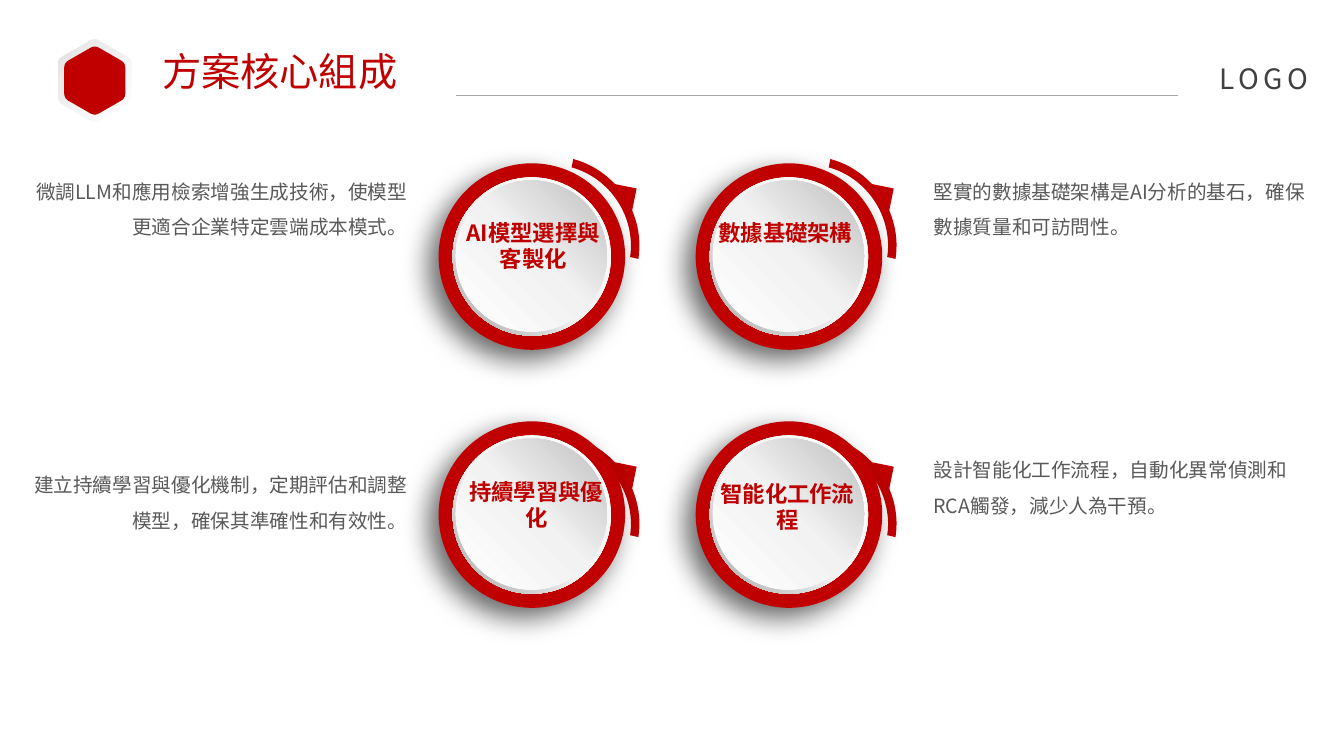
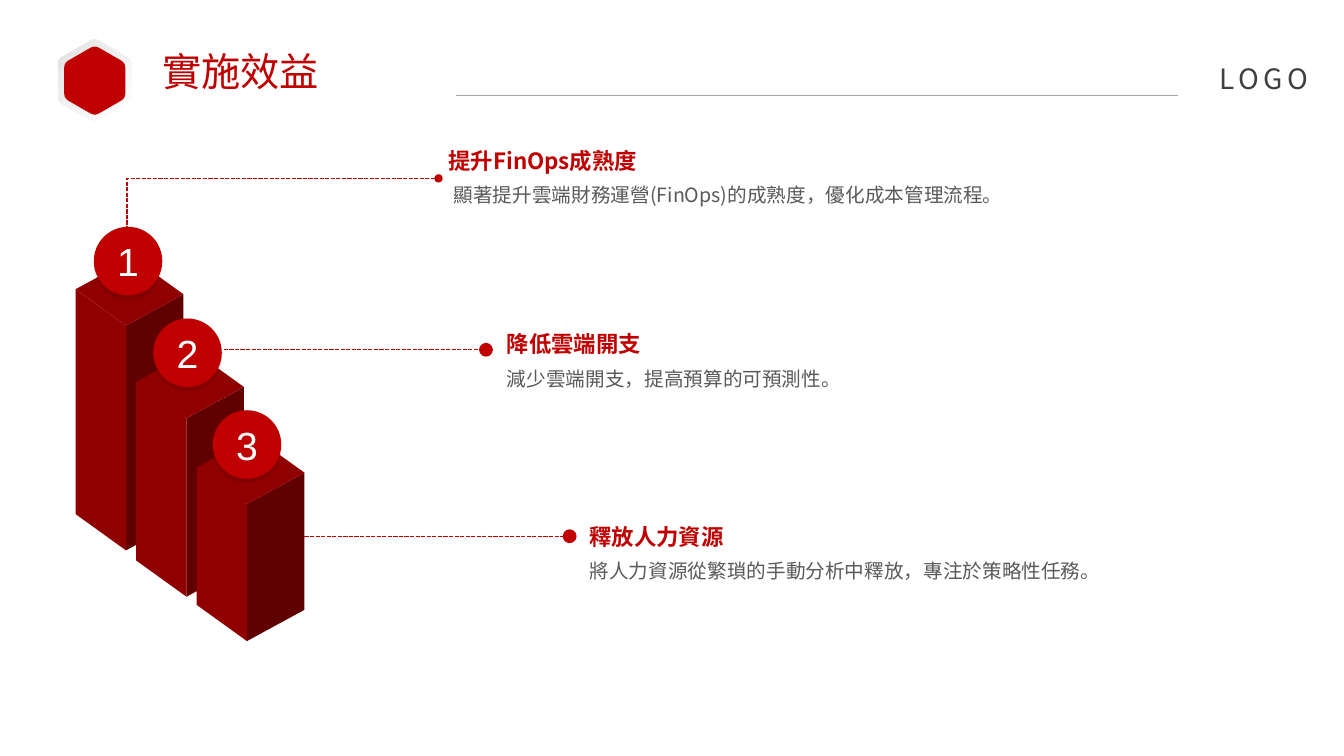
import math
from dataclasses import dataclass

from lxml import etree
from pptx import Presentation
from pptx.dml.color import RGBColor
from pptx.enum.dml import MSO_LINE
from pptx.enum.shapes import MSO_CONNECTOR, MSO_SHAPE
from pptx.enum.text import MSO_ANCHOR, MSO_AUTO_SIZE, PP_ALIGN
from pptx.oxml import parse_xml
from pptx.oxml.ns import nsdecls, qn
from pptx.util import Inches, Pt

LEFT, CENTER, RIGHT = PP_ALIGN.LEFT, PP_ALIGN.CENTER, PP_ALIGN.RIGHT
TOP, MIDDLE = MSO_ANCHOR.TOP, MSO_ANCHOR.MIDDLE
FIT_SHAPE = MSO_AUTO_SIZE.SHAPE_TO_FIT_TEXT
DASH = MSO_LINE.SQUARE_DOT
STRAIGHT, ELBOW = MSO_CONNECTOR.STRAIGHT, MSO_CONNECTOR.ELBOW
OVAL, DONUT = MSO_SHAPE.OVAL, MSO_SHAPE.DONUT
BLOCK_ARC, RIGHT_TRIANGLE = MSO_SHAPE.BLOCK_ARC, MSO_SHAPE.RIGHT_TRIANGLE


@dataclass(frozen=True)
class Theme:
    red: str = "C00000"
    red_mid: str = "900000"
    red_dark: str = "600000"
    rule: str = "A6A6A6"
    logo: str = "404040"
    body: str = "595959"
    badge_text: str = "FEFFFF"
    hexagon_fill: tuple = ((0, "FFFFFF"), (73, "ECECEC"), (100, "D9D9D9"))
    rim_fill: tuple = ((0, "FFFFFF"), (55, "F2F2F2"), (100, "A6A6A6"))
    disc_fill: tuple = ((0, "FFFFFF"), (51, "F2F2F2"), (100, "BFBFBF"))
    font: str = "Noto Sans CJK SC"
    digit_font: str = "Arial"
    title_size: int = 28
    logo_size: int = 20
    heading_size: int = 16
    body_size: int = 14


T = Theme()

COMPONENTS = [
    dict(col=0, row=0, label="AI模型選擇與客製化", label_at=(4.52, 2.12), body_y=1.62,
         body="微調LLM和應用檢索增強生成技術，使模型更適合企業特定雲端成本模式。"),
    dict(col=1, row=0, label="數據基礎架構", label_at=(7.02, 2.12), body_y=1.62,
         body="堅實的數據基礎架構是AI分析的基石，確保數據質量和可訪問性。"),
    dict(col=0, row=1, label="持續學習與優化", label_at=(4.55, 4.69), body_y=4.53,
         body="建立持續學習與優化機制，定期評估和調整模型，確保其準確性和有效性。"),
    dict(col=1, row=1, label="智能化工作流程", label_at=(7.04, 4.71), body_y=4.38,
         body="設計智能化工作流程，自動化異常偵測和RCA觸發，減少人為干預。"),
]

BENEFITS = [
    dict(x=4.35, y=1.41, body_x=4.4, heading="提升FinOps成熟度",
         body="顯著提升雲端財務運營(FinOps)的成熟度，優化成本管理流程。"),
    dict(x=4.93, y=3.23, body_x=4.93, heading="降低雲端開支",
         body="減少雲端開支，提高預算的可預測性。"),
    dict(x=5.75, y=5.14, body_x=5.75, heading="釋放人力資源",
         body="將人力資源從繁瑣的手動分析中釋放，專注於策略性任務。"),
]


def rgb(color):
    return RGBColor.from_string(color)


def write_text(tf, text, *, size, color, font=T.font, bold=False, align=LEFT,
               anchor=TOP, line_spacing=None, tracking=None):
    tf.word_wrap = True
    tf.vertical_anchor = anchor
    p = tf.paragraphs[0]
    p.alignment = align
    if line_spacing:
        p.line_spacing = line_spacing
    r = p.add_run()
    r.text = text
    r.font.size = Pt(size)
    r.font.bold = bold
    r.font.color.rgb = rgb(color)
    r.font.name = font
    rPr = r._r.get_or_add_rPr()
    etree.SubElement(rPr, qn("a:ea")).set("typeface", font)
    if tracking:
        rPr.set("spc", str(tracking * 100))


def add_text(s, text, x, y, w, h, *, inset=True, **fmt):
    tf = s.shapes.add_textbox(Inches(x), Inches(y), Inches(w), Inches(h)).text_frame
    tf.auto_size = FIT_SHAPE
    if not inset:
        tf.margin_left = tf.margin_top = tf.margin_right = tf.margin_bottom = 0
    write_text(tf, text, **fmt)


def add_heading(s, text, x, y, w, **fmt):
    add_text(s, text, x, y, w, 0.37, size=T.heading_size, color=T.red, bold=True, **fmt)


def add_body(s, text, x, y, w, h, **fmt):
    add_text(s, text, x, y, w, h, size=T.body_size, color=T.body, line_spacing=1.5, **fmt)


def fill_gradient(sp, stops, angle):
    spPr = sp._element.spPr
    gs = "".join(f'<a:gs pos="{pos * 1000}"><a:srgbClr val="{color}"/></a:gs>'
                 for pos, color in stops)
    grad = parse_xml(f'<a:gradFill {nsdecls("a")} rotWithShape="1"><a:gsLst>{gs}</a:gsLst>'
                     f'<a:lin ang="{angle * 60000}" scaled="0"/></a:gradFill>')
    spPr.replace(spPr.find(qn("a:solidFill")), grad)


def style_shape(sp, fill=T.red, gradient=None):
    sp.shadow.inherit = False
    sp.fill.solid()
    sp.fill.fore_color.rgb = rgb(fill)
    sp.line.fill.background()
    if gradient:
        fill_gradient(sp, *gradient)
    return sp


def add_preset(s, kind, x, y, w, h, *, rotation=0, adjustments=(), **style):
    sp = s.shapes.add_shape(kind, Inches(x), Inches(y), Inches(w), Inches(h))
    sp.rotation = rotation
    for i, value in enumerate(adjustments):
        sp.adjustments[i] = value
    return style_shape(sp, **style)


def add_polygon(s, points, **style):
    start, *rest = [(Inches(x), Inches(y)) for x, y in points]
    builder = s.shapes.build_freeform(*start)
    builder.add_line_segments(rest, close=True)
    return style_shape(builder.convert_to_shape(), **style)


def add_shadow(sp, *, alpha, blur, distance, angle):
    effects = sp._element.spPr.find(qn("a:effectLst"))
    effects.append(parse_xml(
        f'<a:outerShdw {nsdecls("a")} blurRad="{Pt(blur)}" dist="{Pt(distance)}" '
        f'dir="{angle * 60000}" algn="ctr" rotWithShape="0"><a:srgbClr val="000000">'
        f'<a:alpha val="{alpha * 1000}"/></a:srgbClr></a:outerShdw>'))


def add_line(s, start, end, *, kind=STRAIGHT, color=T.red, dash=None, dots=(),
             dot_size="med", bend=None):
    cx = s.shapes.add_connector(kind, *map(Inches, start + end))
    cx.line.color.rgb = rgb(color)
    cx.line.width = Pt(1)
    if dash:
        cx.line.dash_style = dash
    ln = cx.line._get_or_add_ln()
    for dot in dots:
        etree.SubElement(ln, qn(f"a:{dot}"), type="oval", w=dot_size, len=dot_size)
    spPr = cx._element.spPr
    etree.SubElement(spPr, qn("a:effectLst"))
    if bend is not None:
        guides = spPr.find(qn("a:prstGeom")).get_or_add_avLst()
        etree.SubElement(guides, qn("a:gd"), name="adj1", fmla=f"val {round(bend * 100000)}")


def rounded_hexagon(cx, cy, radius, cut=0.05, steps=5):
    corners = [(cx + radius * math.sin(k * math.pi / 3),
                cy - radius * math.cos(k * math.pi / 3)) for k in range(6)]
    points = []
    for k, corner in enumerate(corners):
        before, after = corners[k - 1], corners[(k + 1) % 6]
        for step in range(steps + 1):
            t = step / steps
            a, b = (1 - t) ** 2 * cut / radius, t ** 2 * cut / radius
            points.append(tuple(c + a * (p - c) + b * (n - c)
                                for c, p, n in zip(corner, before, after)))
    return points


def add_header(s, title):
    add_polygon(s, rounded_hexagon(0.94, 0.8, 0.42), gradient=(T.hexagon_fill, 225))
    add_polygon(s, rounded_hexagon(0.94, 0.8, 0.35))
    add_line(s, (4.52, 0.95), (11.68, 0.95), color=T.rule)
    add_text(s, "LOGO", 12.1, 0.61, 1.02, 0.34, inset=False,
             size=T.logo_size, color=T.logo, tracking=3)
    add_text(s, title, 1.61, 0.47, 8.69, 0.47, inset=False,
             size=T.title_size, color=T.red)


def add_dial(s, x, y, arc_dy):
    arc_x, arc_y = x + 0.33, y + arc_dy
    add_preset(s, BLOCK_ARC, arc_x, arc_y, 1.7, 1.59, rotation=56.5,
               adjustments=(134.651, 189.86, 0.053))
    add_preset(s, RIGHT_TRIANGLE, arc_x + 1.34, arc_y + 0.25, 0.27, 0.27, rotation=191.5)
    ring = add_preset(s, OVAL, x, y, 1.85, 1.85)
    add_shadow(ring, alpha=60, blur=20, distance=10, angle=135)
    add_preset(s, DONUT, x + 0.14, y + 0.14, 1.57, 1.57, adjustments=(0.049,),
               gradient=(T.rim_fill, 135))
    add_preset(s, OVAL, x + 0.17, y + 0.17, 1.5, 1.5, gradient=(T.disc_fill, 315))


def add_pillar(s, x, y, height):
    left, front = (x, y), (x + 0.5, y + 0.36)
    right, back = (x + 1.07, y + 0.05), (x + 0.57, y - 0.31)

    def base(point):
        return point[0], point[1] + height

    add_polygon(s, [front, right, base(right), base(front)], fill=T.red_dark)
    add_polygon(s, [left, back, right, front], fill=T.red_mid)
    add_polygon(s, [left, front, base(front), base(left)], fill=T.red_mid)


def add_badge(s, number, x, y):
    sp = add_preset(s, OVAL, x, y, 0.68, 0.68)
    add_shadow(sp, alpha=10, blur=0, distance=3, angle=90)
    write_text(sp.text_frame, str(number), size=T.title_size, color=T.badge_text,
               font=T.digit_font, align=CENTER, anchor=MIDDLE)


def build_components(s):
    add_header(s, "方案核心組成")
    columns = [dict(x=0.19, w=3.95, align=RIGHT), dict(x=9.16, w=3.98, align=LEFT)]
    arc_offsets = (-0.03, 0.17)
    for item in COMPONENTS:
        col, row = item["col"], item["row"]
        add_dial(s, 4.35 + 2.55 * col, 1.62 + 2.56 * row, arc_offsets[row])
        add_heading(s, item["label"], *item["label_at"], 1.54, align=CENTER)
        add_body(s, item["body"], y=item["body_y"], h=1.12, **columns[col])


def build_benefits(s):
    add_header(s, "實施效益")
    for i, (y, height) in enumerate([(2.87, 2.23), (3.79, 1.77), (4.64, 1.36)]):
        add_pillar(s, 0.75 + 0.6 * i, y, height)
    for start, end in [((2.22, 3.47), (4.82, 3.47)), ((3.02, 5.32), (5.65, 5.32))]:
        add_line(s, start, end, dash=DASH, dots=("tailEnd",), dot_size="lg")
    right_edge = 12.92
    for i, item in enumerate(BENEFITS):
        x, y, body_x = item["x"], item["y"], item["body_x"]
        add_badge(s, i + 1, 0.93 + 0.59 * i, 2.25 + 0.91 * i)
        add_heading(s, item["heading"], x, y, right_edge - x)
        add_body(s, item["body"], body_x, y + 0.24, right_edge - body_x, 0.77)
    add_line(s, (4.35, 1.77), (1.25, 2.43), kind=ELBOW, dash=DASH,
             dots=("headEnd", "tailEnd"), bend=0.997)


def main():
    prs = Presentation()
    prs.slide_width, prs.slide_height = Inches(13.33), Inches(7.5)
    for build in (build_components, build_benefits):
        build(prs.slides.add_slide(prs.slide_layouts[6]))
    prs.save("out.pptx")


if __name__ == "__main__":
    main()
